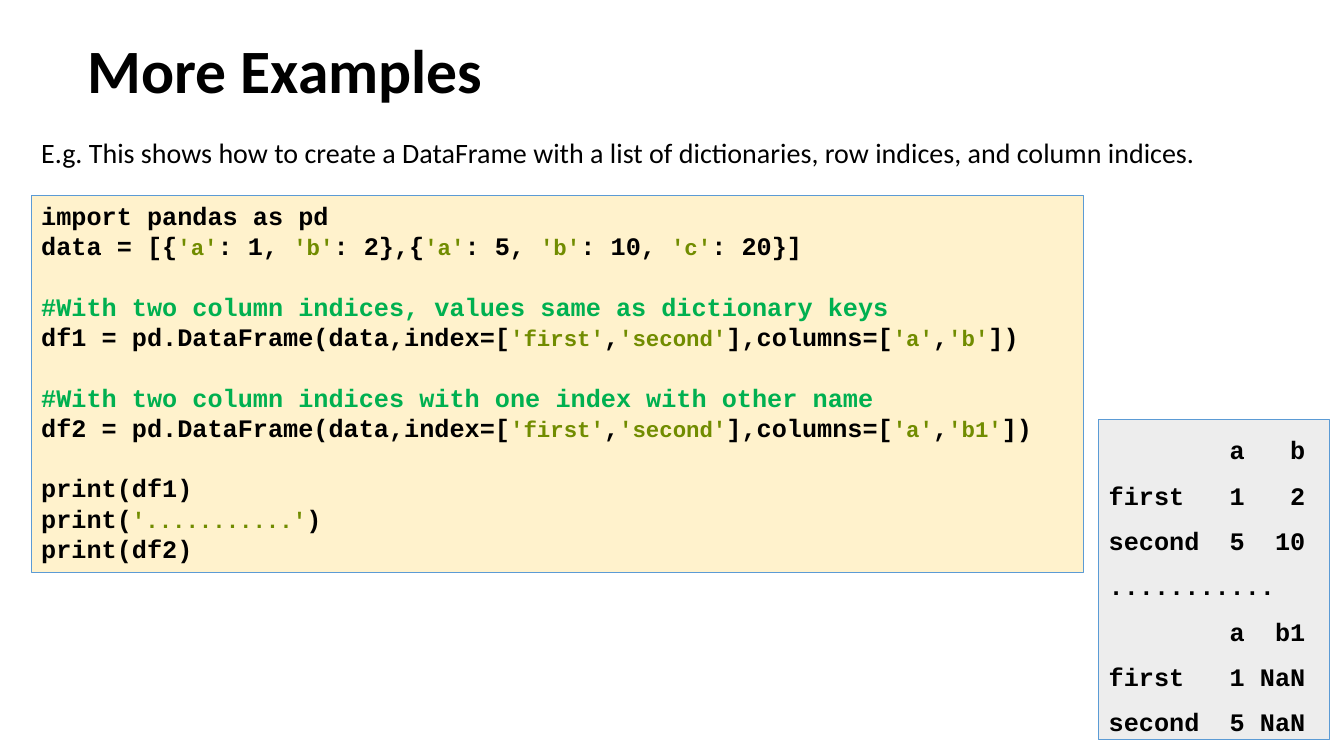
"""Builds the slide of further DataFrame examples."""
from lxml import etree
from pptx import Presentation
from pptx.dml.color import RGBColor
from pptx.enum.shapes import MSO_SHAPE
from pptx.enum.text import MSO_ANCHOR, PP_ALIGN
from pptx.oxml.ns import qn
from pptx.util import Emu, Inches, Pt

RECT = MSO_SHAPE.RECTANGLE
TOP, MIDDLE = MSO_ANCHOR.TOP, MSO_ANCHOR.MIDDLE
LEFT = PP_ALIGN.LEFT
WIDTH, HEIGHT = Inches(13.33), Inches(7.5)
SANS, MONO = "Calibri", "Courier New"
BLACK, OLIVE, GREEN = "000000", "718C00", "00B050"
CREAM, GREY, BLUE = "FFF2CC", "EDEDED", "5B9BD5"
CODE_SIZE, STRING_SIZE = 18, 16
BLANK_LINE = 21.6
CHAR_WIDTH = CODE_SIZE * 0.6
RIGHT_COLUMNS = (9, 13)

INTRO = ("E.g. This shows how to create a DataFrame with a list of dictionaries, "
         "row indices, and column indices.")
CODE = """import pandas as pd
data = [{'a': 1, 'b': 2},{'a': 5, 'b': 10, 'c': 20}]

#With two column indices, values same as dictionary keys
df1 = pd.DataFrame(data,index=['first','second'],columns=['a','b'])

#With two column indices with one index with other name
df2 = pd.DataFrame(data,index=['first','second'],columns=['a','b1'])

print(df1)
print('...........')
print(df2)"""
OUTPUT = [("", "a", "b"), ("first", "1", "2"), ("second", "5", "10"),
          ("...........",),
          ("", "a", "b1"), ("first", "1", "NaN"), ("second", "5", "NaN")]


def rgb(color):
    """Turn a hex string into a colour."""
    return RGBColor.from_string(color)


def share(left, top, width, height):
    """Turn percentages of the slide's size into lengths."""
    return [Emu(int(full * part / 100)) for full, part in
            zip((WIDTH, HEIGHT) * 2, (left, top, width, height))]


def add_run(p, text, size=CODE_SIZE, font=MONO, color=BLACK, bold=True):
    """Add formatted text to a paragraph."""
    r = p.add_run()
    r.text = text
    r.font.size, r.font.name, r.font.bold = Pt(size), font, bold
    r.font.color.rgb = rgb(color)


def next_paragraph(tf, index):
    """Return the first paragraph or a new one, aligned left."""
    p = tf.add_paragraph() if index else tf.paragraphs[0]
    p.alignment = LEFT
    return p


def add_title(s, text, place):
    """Move and fill the title placeholder."""
    sp = s.shapes.title
    sp.left, sp.top, sp.width, sp.height = share(*place)
    sp.text_frame.vertical_anchor = MIDDLE
    p = next_paragraph(sp.text_frame, 0)
    p.line_spacing = 0.9
    add_run(p, text, size=44, font=SANS)


def add_text(s, text, place):
    """Add a wrapped line of plain text."""
    tf = s.shapes.add_textbox(*share(*place)).text_frame
    tf.word_wrap = True
    add_run(next_paragraph(tf, 0), text, size=20, font=SANS, bold=False)


def add_panel(s, place, fill):
    """Add an outlined box and return its text frame."""
    sp = s.shapes.add_shape(RECT, *share(*place))
    sp.shadow.inherit = False
    sp.fill.solid()
    sp.fill.fore_color.rgb = rgb(fill)
    sp.line.color.rgb, sp.line.width = rgb(BLUE), Pt(0.75)
    tf = sp.text_frame
    tf.word_wrap, tf.vertical_anchor = True, TOP
    return tf


def add_code_line(p, line):
    """Write a line of code with comments and quoted strings coloured."""
    if line.startswith("#"):
        add_run(p, line, color=GREEN)
        return
    for i, part in enumerate(line.split("'")):
        if i % 2:
            add_run(p, f"'{part}'", size=STRING_SIZE, color=OLIVE)
        elif part:
            add_run(p, part)


def add_code(s, code, place):
    """Add a code panel, with blank lines turned into spacing."""
    tf = add_panel(s, place, CREAM)
    index = 0
    for block, text in enumerate(code.split("\n\n")):
        for row, line in enumerate(text.split("\n")):
            p = next_paragraph(tf, index)
            if block and not row:
                p.space_before = Pt(BLANK_LINE)
            add_code_line(p, line)
            index += 1


def add_right_tabs(p, columns):
    """Set right-aligned tab stops at character columns."""
    tabs = etree.SubElement(p._p.get_or_add_pPr(), qn("a:tabLst"))
    for column in columns:
        etree.SubElement(tabs, qn("a:tab"), algn="r",
                         pos=str(int(Pt(column * CHAR_WIDTH))))


def add_output(s, rows, place):
    """Add a panel of printed rows in right-aligned columns."""
    tf = add_panel(s, place, GREY)
    tf.margin_top = tf.margin_right = tf.margin_bottom = 0
    for index, row in enumerate(rows):
        p = next_paragraph(tf, index)
        p.line_spacing = 1.5
        add_right_tabs(p, RIGHT_COLUMNS)
        add_run(p, "\t".join(row))


def main():
    """Build and save the slide."""
    prs = Presentation()
    prs.slide_width, prs.slide_height = WIDTH, HEIGHT
    s = prs.slides.add_slide(prs.slide_layouts[5])
    add_title(s, "More Examples", (5.78, 1.87, 86.25, 15.73))
    add_code(s, CODE, (2.33, 25.87, 78.3, 49.87))
    add_text(s, INTRO, (2.33, 17.33, 93.15, 5.87))
    add_output(s, OUTPUT, (81.75, 55.47, 17.18, 42.4))
    prs.save("out.pptx")


main()
